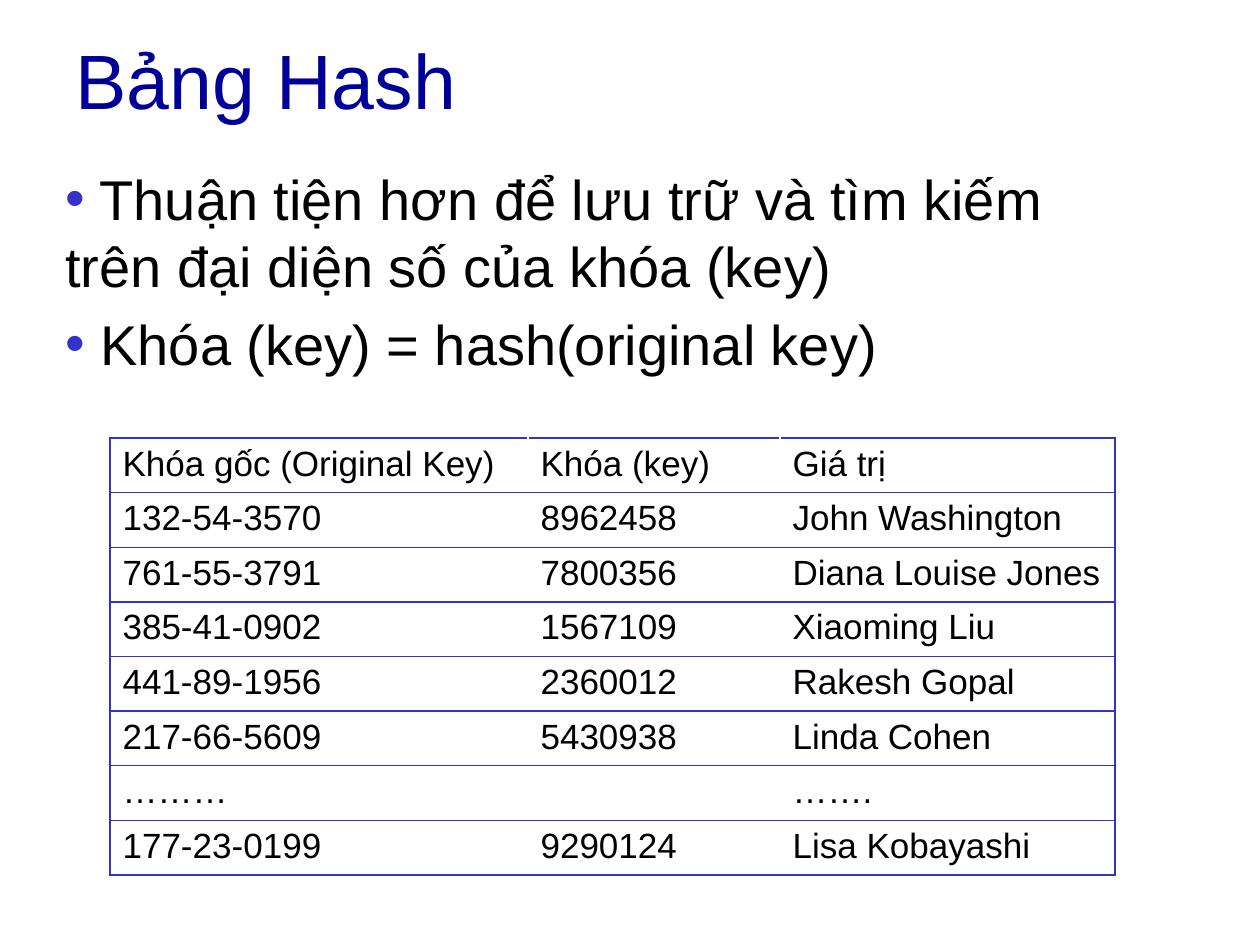
from lxml.etree import SubElement
from pptx import Presentation
from pptx.dml.color import RGBColor as Rgb
from pptx.enum.text import MSO_ANCHOR as Anchor
from pptx.oxml.ns import qn
from pptx.util import Pt

EMU_PER_PX = 914400 / 126
FONT = "Arial"
COLORS = {"title": "000099", "text": "000000", "accent": "3333CC", "cell": "FFFFFF"}
TITLE = "Bảng Hash"
BULLETS = [
    " Thuận tiện hơn để lưu trữ và tìm kiếm trên đại diện số của khóa (key)",
    " Khóa (key) = hash(original key)",
]
COLUMN_WIDTHS = [418, 252, 335]
TABLE_HEIGHT = 437
ROWS = [
    ("Khóa gốc (Original Key)", "Khóa (key)", "Giá trị"),
    ("132-54-3570", "8962458", "John Washington"),
    ("761-55-3791", "7800356", "Diana Louise Jones"),
    ("385-41-0902", "1567109", "Xiaoming Liu"),
    ("441-89-1956", "2360012", "Rakesh Gopal"),
    ("217-66-5609", "5430938", "Linda Cohen"),
    ("………", "", "……."),
    ("177-23-0199", "9290124", "Lisa Kobayashi"),
]


def px(length):
    return round(length * EMU_PER_PX)


def style_font(font, size, color):
    font.name = FONT
    font.size = Pt(size)
    font.color.rgb = Rgb.from_string(COLORS[color])


def add_text(page, bounds, lines, size, color, anchor=Anchor.TOP, bulleted=False):
    box = page.shapes.add_textbox(*map(px, bounds))
    frame = box.text_frame
    frame.word_wrap = True
    frame.vertical_anchor = anchor
    for index, line in enumerate(lines):
        para = frame.add_paragraph() if index else frame.paragraphs[0]
        para.text = line
        if index:
            para.space_before = Pt(6.4)
        if bulleted:
            add_bullet(para)
        style_font(para.font, size, color)


def add_bullet(para):
    props = para._p.get_or_add_pPr()
    props.set("marL", "0")
    props.set("indent", str(px(-24)))
    bullet_color = SubElement(props, qn("a:buClr"))
    SubElement(bullet_color, qn("a:srgbClr"), val=COLORS["accent"])
    SubElement(props, qn("a:buFont"), typeface=FONT)
    SubElement(props, qn("a:buChar"), char="•")


def add_border(cell, side):
    props = cell._tc.get_or_add_tcPr()
    line = SubElement(props, qn(f"a:{side}"), w=str(Pt(1)))
    fill = SubElement(line, qn("a:solidFill"))
    SubElement(fill, qn("a:srgbClr"), val=COLORS["accent"])


def fill_cell(cell, text, sides):
    for side in sides:
        add_border(cell, side)
    cell.fill.solid()
    cell.fill.fore_color.rgb = Rgb.from_string(COLORS["cell"])
    para = cell.text_frame.paragraphs[0]
    para.text = text
    style_font(para.font, 20, "text")


def add_hash_table(page, left, top):
    last = len(COLUMN_WIDTHS) - 1
    table = page.shapes.add_table(
        len(ROWS), len(COLUMN_WIDTHS),
        px(left), px(top), px(sum(COLUMN_WIDTHS)), px(TABLE_HEIGHT),
    ).table
    table.first_row = False
    table.horz_banding = False
    for column, width in zip(table.columns, COLUMN_WIDTHS):
        column.width = px(width)
    for row, values in zip(table.rows, ROWS):
        row.height = px(TABLE_HEIGHT / len(ROWS))
        for index, (cell, value) in enumerate(zip(row.cells, values)):
            outer = {0: ["lnL"], last: ["lnR"]}.get(index, [])
            fill_cell(cell, value, outer + ["lnT", "lnB"])


def main():
    deck = Presentation()
    deck.slide_width, deck.slide_height = px(1260), px(945)
    page = deck.slides.add_slide(deck.slide_layouts[6])
    add_hash_table(page, 110, 438)
    add_text(page, (53, 158, 1113, 281), BULLETS, 32, "text", bulleted=True)
    add_text(page, (63, 0, 1134, 158), [TITLE], 44, "title", Anchor.MIDDLE)
    deck.save("out.pptx")


if __name__ == "__main__":
    main()
